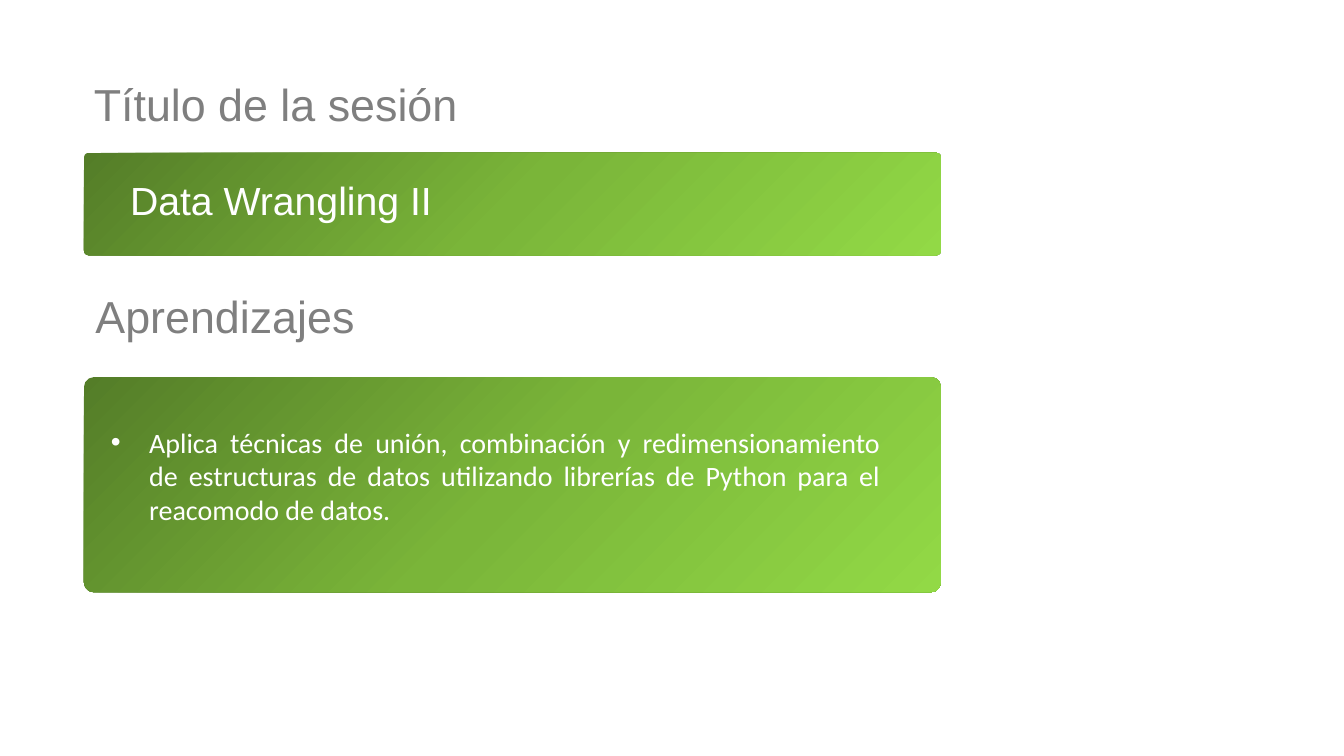
from copy import deepcopy
from dataclasses import dataclass

from lxml.etree import SubElement
from pptx import Presentation
from pptx.dml.color import RGBColor
from pptx.enum.shapes import MSO_SHAPE
from pptx.enum.text import MSO_ANCHOR, MSO_AUTO_SIZE, PP_ALIGN
from pptx.oxml.ns import qn
from pptx.util import Inches, Pt


@dataclass(frozen=True)
class Theme:
    greens: tuple = ("547D28", "7AB539", "92D946")
    white: str = "FFFFFF"
    gray: str = "7F7F7F"
    heading_font: str = "Arial"
    body_font: str = "Calibri"
    heading_size: int = 32
    name_size: int = 28
    body_size: int = 20
    corner: float = 0.045
    bullet_indent: float = 0.38
    columns: int = 16
    rows: int = 9


def write(box, text, *, font, size, color, align=PP_ALIGN.LEFT,
          anchor=MSO_ANCHOR.MIDDLE, spacing=0.9, bullet_indent=None):
    """Fill a box with one formatted paragraph, bulleted if an indent is given."""
    frame = box.text_frame
    frame.word_wrap = True
    frame.auto_size = MSO_AUTO_SIZE.NONE
    frame.vertical_anchor = anchor
    frame.margin_left = frame.margin_right = Inches(0.1)
    frame.margin_top = frame.margin_bottom = Inches(0.05)
    para = frame.paragraphs[0]
    para.alignment = align
    para.line_spacing = spacing
    para.space_before = Pt(0)
    if bullet_indent:
        properties = para._p.get_or_add_pPr()
        properties.set("marL", str(Inches(bullet_indent)))
        properties.set("indent", str(-Inches(bullet_indent)))
        bullet_color = SubElement(properties, qn("a:buClr"))
        SubElement(bullet_color, qn("a:srgbClr"), val=color)
        SubElement(properties, qn("a:buFont"), typeface="Arial")
        SubElement(properties, qn("a:buChar"), char="•")
    span = para.add_run()
    span.text = text
    span.font.name = font
    span.font.size = Pt(size)
    span.font.bold = False
    span.font.color.rgb = RGBColor.from_string(color)


class SlideBuilder:
    def __init__(self, deck, theme):
        self.theme = theme
        self.page = deck.slides.add_slide(deck.slide_layouts[1])
        self.column = deck.slide_width / theme.columns
        self.row = deck.slide_height / theme.rows

    def area(self, left, top, width, height):
        """Turn columns and rows into slide lengths."""
        return (round(left * self.column), round(top * self.row),
                round(width * self.column), round(height * self.row))

    def panel(self, *cells):
        panel = self.page.shapes.add_shape(MSO_SHAPE.ROUNDED_RECTANGLE, *self.area(*cells))
        panel.adjustments[0] = self.theme.corner
        panel.shadow.inherit = False
        panel.line.fill.background()
        panel.fill.gradient()
        panel.fill.gradient_angle = 315
        first = panel.fill._xPr.find(".//" + qn("a:gs"))
        first.addnext(deepcopy(first))
        for stop, position, green in zip(panel.fill.gradient_stops, (0, 0.5, 1), self.theme.greens):
            stop.position = position
            stop.color.rgb = RGBColor.from_string(green)

    def placeholder(self, index, *cells):
        """Move a template placeholder into place, in front of the panels."""
        box = self.page.placeholders[index]
        box.left, box.top, box.width, box.height = self.area(*cells)
        box.element.getparent().append(box.element)
        return box

    def text_box(self, *cells):
        return self.page.shapes.add_textbox(*self.area(*cells))

    def heading(self, box, text):
        write(box, text, font=self.theme.heading_font, size=self.theme.heading_size,
              color=self.theme.gray, align=PP_ALIGN.CENTER)

    def session_name(self, box, text):
        write(box, text, font=self.theme.heading_font, size=self.theme.name_size,
              color=self.theme.white)

    def learning(self, box, text):
        write(box, text, font=self.theme.body_font, size=self.theme.body_size,
              color=self.theme.white, align=PP_ALIGN.JUSTIFY, anchor=MSO_ANCHOR.TOP,
              spacing=1.0, bullet_indent=self.theme.bullet_indent)


def main():
    deck = Presentation()
    deck.slide_width, deck.slide_height = Inches(13.33), Inches(7.5)
    slide = SlideBuilder(deck, Theme())

    # Green panels
    slide.panel(1, 4.49, 10.2, 2.56)
    slide.panel(1, 1.82, 10.2, 1.22)

    # Session title
    slide.heading(slide.placeholder(0, -0.19, 0.61, 6.95, 1.32), "Título de la sesión")
    slide.session_name(slide.text_box(1.43, 1.93, 9.5, 0.98), "Data Wrangling II")

    # Learning goals
    slide.heading(slide.text_box(-0.19, 3.14, 5.74, 1.32), "Aprendizajes")
    slide.learning(
        slide.placeholder(1, 1.2, 5, 9.4, 1.33),
        "Aplica técnicas de unión, combinación y redimensionamiento de estructuras "
        "de datos utilizando librerías de Python para el reacomodo de datos.")

    deck.save("out.pptx")


if __name__ == "__main__":
    main()
